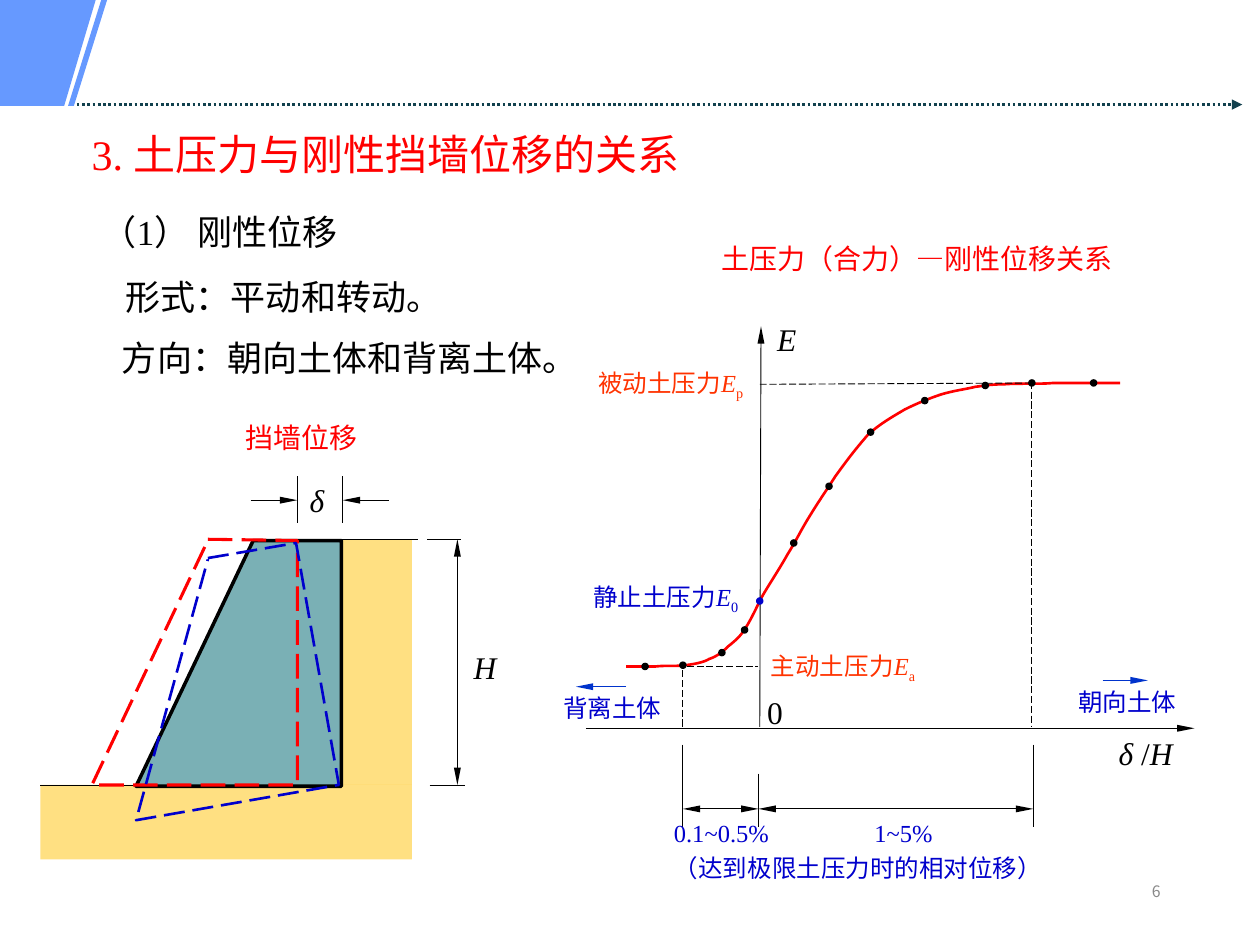
import pptx
import pptx.dml.color
import pptx.enum.dml
import pptx.enum.shapes
import pptx.enum.text
import pptx.oxml
import pptx.oxml.ns
import pptx.util

Inches = pptx.util.Inches
qn = pptx.oxml.ns.qn
SHAPES = pptx.enum.shapes.MSO_SHAPE
DASH = pptx.enum.dml.MSO_LINE.LONG_DASH
DOTS = pptx.enum.dml.MSO_LINE.ROUND_DOT
LATIN_FONT, CHINESE_FONT = "Times New Roman", "Noto Sans CJK SC"
COLORS = {
    "band": "6699FF", "rule": "12414E", "red": "FF0000", "orange": "FF3300",
    "blue": "0000CC", "arrow": "0033CC", "black": "000000", "soil": "FFC000",
    "wall": "3C8C93", "gray": "898989",
}


class SlideBuilder:
    def __init__(self, slide):
        self.slide = slide
        self.shapes = slide.shapes

    def color(self, name):
        return pptx.dml.color.RGBColor.from_string(COLORS[name])

    def add_child(self, parent, tag, **attributes):
        child = pptx.oxml.parse_xml(
            f'<a:{tag} xmlns:a="http://schemas.openxmlformats.org/drawingml/2006/main"/>')
        for key, value in attributes.items():
            child.set(key, value)
        parent.append(child)

    def style_line(self, line, color, width, dash=None):
        line.color.rgb = self.color(color)
        line.width = pptx.util.Pt(width)
        if dash is not None:
            line.dash_style = dash

    def style_fill(self, shape, fill, opacity=100):
        shape.shadow.inherit = False
        if fill is None:
            shape.fill.background()
            return
        shape.fill.solid()
        shape.fill.fore_color.rgb = self.color(fill)
        if opacity < 100:
            rgb = shape._element.spPr.find(qn("a:solidFill")).find(qn("a:srgbClr"))
            self.add_child(rgb, "alpha", val=str(opacity * 1000))

    def preset(self, kind, left, top, width, height, fill, opacity=100):
        shape = self.shapes.add_shape(
            kind, Inches(left), Inches(top), Inches(width), Inches(height))
        self.style_fill(shape, fill, opacity)
        shape.line.fill.background()
        return shape

    def dot(self, x, y, color="black"):
        self.preset(SHAPES.OVAL, x - 0.03, y - 0.03, 0.06, 0.06, color)

    def outline(self, points, fill=None, opacity=100, line=None, width=1, dash=None,
                close=True):
        vertices = [(Inches(x), Inches(y)) for x, y in points]
        builder = self.shapes.build_freeform(*vertices[0], scale=1.0)
        builder.add_line_segments(vertices[1:], close=close)
        shape = builder.convert_to_shape()
        self.style_fill(shape, fill, opacity)
        if line:
            self.style_line(shape.line, line, width, dash)
        else:
            shape.line.fill.background()
        return shape

    def curve(self, points, color, width):
        """Bezier curve: a start point, then three points for each segment."""
        shape = self.outline(points, line=color, width=width, close=False)
        segments = list(shape._element.iter(qn("a:lnTo")))
        for first, second, third in zip(*[iter(segments)] * 3):
            self.add_child(first.getparent(), "cubicBezTo")
            bezier = first.getparent()[-1]
            for segment in (first, second, third):
                bezier.append(segment[0])
                segment.getparent().remove(segment)

    def line(self, x1, y1, x2, y2, color="black", width=0.5, dash=None,
             head=False, tail=False, arrow=("sm", "lg")):
        connector = self.shapes.add_connector(
            pptx.enum.shapes.MSO_CONNECTOR.STRAIGHT,
            Inches(x1), Inches(y1), Inches(x2), Inches(y2))
        self.style_line(connector.line, color, width, dash)
        properties = connector._element.spPr
        for tag, wanted in (("headEnd", head), ("tailEnd", tail)):
            if wanted:
                self.add_child(properties.find(qn("a:ln")), tag,
                               type="triangle", w=arrow[0], len=arrow[1])
        self.add_child(properties, "effectLst")

    def text(self, left, top, width, height, parts, size, color="black",
             font=LATIN_FONT, spacing=None, right=False):
        """Each part is (text, style), where style is "", "italic" or "sub"."""
        if isinstance(parts, str):
            parts = [(parts, "")]
        box = self.shapes.add_textbox(
            Inches(left), Inches(top), Inches(width), Inches(height))
        box.text_frame.word_wrap = True
        paragraph = box.text_frame.paragraphs[0]
        if spacing:
            paragraph.line_spacing = spacing
        if right:
            paragraph.alignment = pptx.enum.text.PP_ALIGN.RIGHT
        for content, style in parts:
            run = paragraph.add_run()
            run.text = content
            run.font.size = pptx.util.Pt(size)
            run.font.name = font
            run.font.italic = style == "italic"
            run.font.color.rgb = self.color(color)
            properties = run.font._element
            if style == "sub":
                properties.set("baseline", "-25000")
            self.add_child(properties, "ea", typeface=CHINESE_FONT)


def add_header(page):
    page.outline([(0, 0), (0.76, 0), (0.51, 0.84), (0, 0.84)], "band")
    stripe = page.preset(SHAPES.PARALLELOGRAM, 0.54, 0, 0.31, 0.84, "band")
    stripe.adjustments[0] = 0.85
    page.line(0.61, 0.83, 9.86, 0.83, "rule", 1.5, DOTS, tail=True, arrow=("med", "med"))
    page.text(7.06, 6.95, 2.25, 0.4, "6", 9, "gray", CHINESE_FONT, right=True)
    page.text(0.63, 0.97, 5.13, 0.5, "3. 土压力与刚性挡墙位移的关系", 24, "red")
    page.text(0.71, 1.62, 2.76, 0.44, "（1） 刚性位移", 20)
    page.text(0.9, 2.14, 2.8, 0.44, "形式：平动和转动。", 20)
    page.text(0.87, 2.62, 3.9, 0.44, "方向：朝向土体和背离土体。", 20)


def add_pressure_graph(page):
    page.text(5.63, 1.87, 3.36, 0.37, "土压力（合力）—刚性位移关系", 16, "red")
    # Active and passive branches meet at the at-rest point
    page.curve([(6.04, 4.75), (6.02, 4.79), (5.96, 4.92), (5.92, 4.98),
                (5.88, 5.05), (5.83, 5.09), (5.78, 5.13), (5.73, 5.18), (5.69, 5.21),
                (5.63, 5.23), (5.58, 5.26), (5.51, 5.27), (5.44, 5.28), (5.37, 5.29),
                (5.28, 5.28), (5.2, 5.29), (5.13, 5.29), (5.02, 5.29), (4.97, 5.29)],
               "red", 1.5)
    page.curve([(6.04, 4.75), (6.07, 4.69), (6.19, 4.51), (6.25, 4.4),
                (6.32, 4.29), (6.36, 4.2), (6.43, 4.09), (6.49, 3.99), (6.56, 3.89),
                (6.63, 3.78), (6.71, 3.67), (6.76, 3.6), (6.88, 3.46), (6.97, 3.37),
                (7.08, 3.31), (7.18, 3.25), (7.28, 3.2), (7.38, 3.16), (7.47, 3.13),
                (7.57, 3.1), (7.66, 3.09), (7.74, 3.07), (7.82, 3.06), (7.86, 3.05),
                (7.97, 3.05), (8.07, 3.04), (8.25, 3.05), (8.35, 3.04), (8.45, 3.04),
                (8.49, 3.04), (8.58, 3.04), (8.68, 3.04), (8.79, 3.04), (8.89, 3.04)],
               "red", 1.5)
    for x, y in [(5.91, 5), (5.73, 5.18), (5.42, 5.28), (5.12, 5.29), (6.3, 4.31),
                 (6.58, 3.86), (6.91, 3.43), (7.34, 3.18), (7.82, 3.06),
                 (8.19, 3.04), (8.68, 3.04)]:
        page.dot(x, y)
    # Dashed guides and axes
    for guide in [(8.19, 3.04, 6.03, 3.05), (8.19, 3.03, 8.19, 5.77),
                  (5.45, 5.29, 6.02, 5.29), (5.42, 5.32, 5.42, 5.77)]:
        page.line(*guide, dash=DASH)
    page.line(4.65, 5.78, 9.48, 5.78, tail=True)
    page.line(6.03, 5.77, 6.04, 2.59, tail=True)
    page.dot(6.03, 4.77, "blue")
    page.text(6.07, 2.49, 0.39, 0.4, [("E", "italic")], 18)
    page.text(8.78, 5.78, 0.7, 0.4, [("δ ", "italic"), ("/", ""), ("H", "italic")], 18)
    page.text(5.99, 5.45, 0.39, 0.4, "0", 18)
    # Names of the three pressures
    for left, top, name, index, color in [
            (4.61, 4.57, "静止土压力", "0", "blue"),
            (6.02, 5.12, "主动土压力", "a", "orange"),
            (4.65, 2.87, "被动土压力", "p", "orange")]:
        page.text(left, top, 1.62, 0.34,
                  [(name, ""), ("E", "italic"), (index, "sub")], 14, color)
    # Directions of movement
    page.text(8.46, 5.4, 1.02, 0.34, "朝向土体", 14, "blue")
    page.line(8.75, 5.4, 9.11, 5.4, "arrow", tail=True)
    page.text(4.37, 5.45, 1.08, 0.34, "背离土体", 14, "blue")
    page.line(4.97, 5.45, 4.57, 5.45, "arrow", tail=True)
    # Displacement ranges
    for x, top in [(5.42, 5.91), (6.02, 6.14), (8.2, 5.91)]:
        page.line(x, top, x, 6.56)
    for start, end in [(5.42, 6.02), (6.02, 8.2)]:
        page.line(start, 6.42, end, 6.42, head=True, tail=True)
    page.text(6.84, 6.44, 0.81, 0.34, "1~5%", 14, "blue")
    page.text(5.25, 6.44, 1.13, 0.34, "0.1~0.5%", 14, "blue")
    page.text(5.25, 6.65, 3.2, 0.41, "（达到极限土压力时的相对位移）", 14, "blue", spacing=1.3)


def add_wall(page):
    page.text(1.85, 3.29, 1.1, 0.37, "挡墙位移", 16, "red")
    # Soil and ground lines
    page.preset(SHAPES.RECTANGLE, 2.72, 4.28, 0.55, 1.95, "soil", 49)
    page.line(2.59, 4.28, 3.32, 4.28)
    page.preset(SHAPES.RECTANGLE, 0.32, 6.23, 2.95, 0.59, "soil", 49)
    page.line(0.32, 6.23, 1.1, 6.23)
    # Wall at rest, after translation and after rotation
    page.outline([(2.01, 4.29), (2.71, 4.29), (2.71, 6.24), (1.08, 6.24)],
                 "wall", 68, "black", 2)
    page.outline([(1.65, 4.28), (2.36, 4.29), (2.36, 6.23), (0.73, 6.23), (1.65, 4.29)],
                 line="red", width=1.75, dash=DASH, close=False)
    page.outline([(1.65, 4.43), (2.35, 4.31), (2.69, 6.23), (1.08, 6.51), (1.65, 4.44)],
                 line="blue", width=1.5, dash=DASH, close=False)
    # Height dimension
    page.line(3.39, 4.28, 3.66, 4.28)
    page.line(3.41, 6.23, 3.69, 6.23)
    page.line(3.63, 4.28, 3.63, 6.23, head=True, tail=True)
    page.text(3.66, 5.09, 0.38, 0.4, [("H", "italic")], 18)
    # Displacement dimension
    for x in (2.36, 2.72):
        page.line(x, 4.15, x, 3.78)
    page.line(1.99, 3.97, 2.36, 3.97, tail=True)
    page.line(2.72, 3.97, 3.09, 3.97, head=True)
    page.text(2.36, 3.77, 0.35, 0.4, [("δ", "italic")], 18)


def main():
    presentation = pptx.Presentation()
    presentation.slide_width, presentation.slide_height = Inches(10), Inches(7.5)
    page = SlideBuilder(presentation.slides.add_slide(presentation.slide_layouts[6]))
    add_header(page)
    add_pressure_graph(page)
    add_wall(page)
    presentation.save("out.pptx")


if __name__ == "__main__":
    main()
